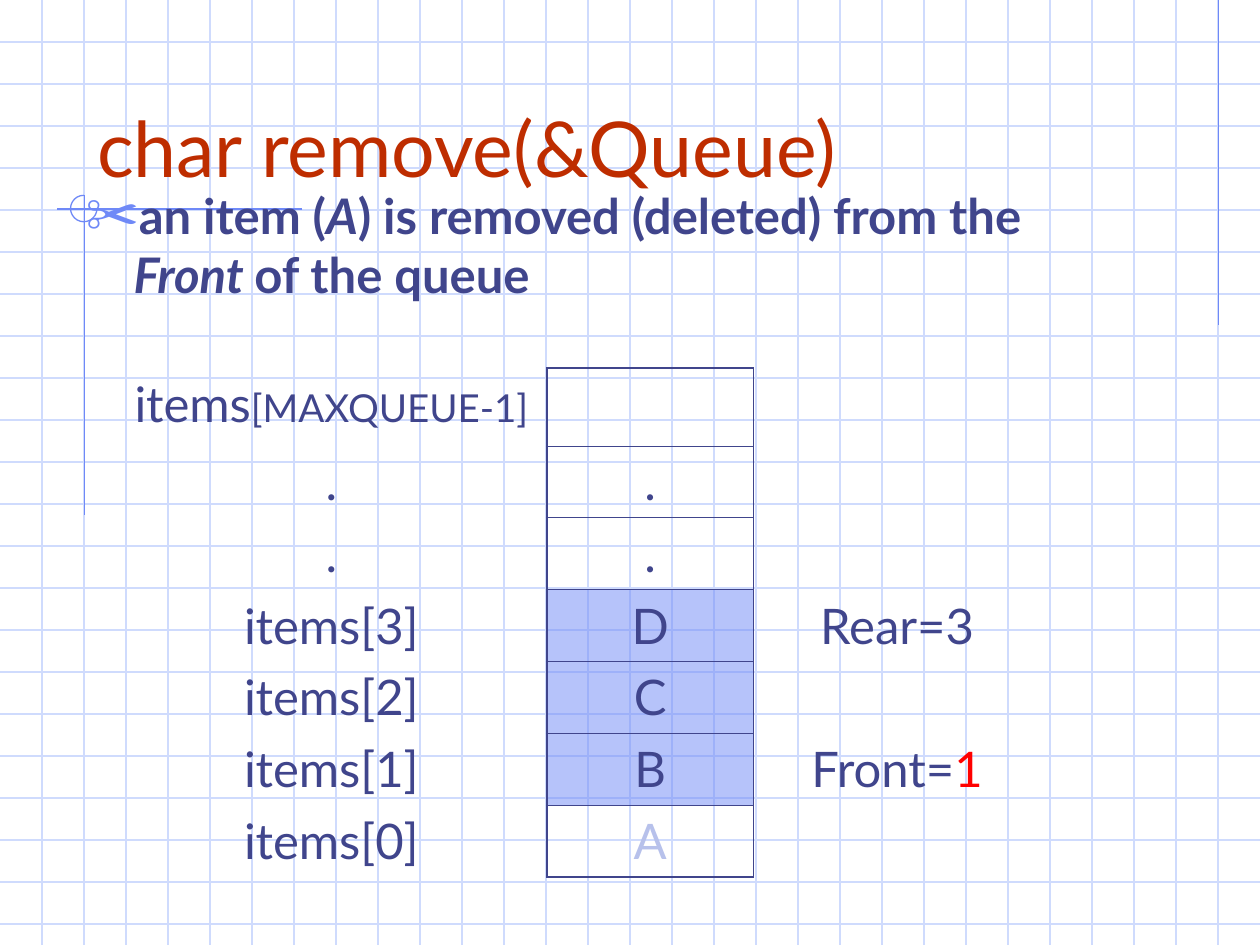
from dataclasses import dataclass

from lxml import etree
from pptx import Presentation
from pptx.dml.color import RGBColor
from pptx.enum.shapes import MSO_CONNECTOR, MSO_SHAPE
from pptx.enum.text import MSO_ANCHOR, MSO_AUTO_SIZE, PP_ALIGN
from pptx.oxml.ns import qn
from pptx.util import Inches, Pt

STRAIGHT = MSO_CONNECTOR.STRAIGHT
ARC = MSO_SHAPE.ARC
LEFT, CENTER = PP_ALIGN.LEFT, PP_ALIGN.CENTER
TOP, BOTTOM = MSO_ANCHOR.TOP, MSO_ANCHOR.BOTTOM
NO_FIT = MSO_AUTO_SIZE.NONE
NO_STYLE_TABLE = "{2D5ABB26-0587-4C30-8999-92F81FD0307C}"


@dataclass(frozen=True)
class Theme:
    font: str = "Lato"
    grid: str = "CFDBFD"
    accent: str = "6F89F7"
    title: str = "BE2D00"
    text: str = "40458C"
    removed: str = "B7C1EB"
    changed: str = "FF0000"
    title_size: float = 44
    text_size: float = 28
    small_size: float = 22
    rule: float = 0.75
    outer_border: float = 1.08
    inner_border: float = 0.45


T = Theme()


def rgb(color):
    return RGBColor.from_string(color)


def sub(parent, tag, **attrs):
    return etree.SubElement(parent, qn(tag), attrs)


def set_font(font, size, color):
    font.name, font.size = T.font, Pt(size)
    font.color.rgb = rgb(color)


def add_line(shapes, x1, y1, x2, y2, color):
    line = shapes.add_connector(STRAIGHT, Inches(x1), Inches(y1), Inches(x2), Inches(y2))
    line.line.color.rgb = rgb(color)
    line.line.width = Pt(T.rule)
    sub(line._element.spPr, "a:effectLst")


# Background: graph paper with three margin rules and a small arc
def add_grid(s, width, height, per_inch=3):
    shapes = s.shapes.add_group_shape().shapes
    for i in range(1, int(height * per_inch) + 1):
        add_line(shapes, 0, i / per_inch, width, i / per_inch, T.grid)
    for i in range(1, width * per_inch):
        add_line(shapes, i / per_inch, 0, i / per_inch, height, T.grid)


def add_margin_rules(s):
    shapes = s.shapes.add_group_shape().shapes
    for ends in ((9.67, 0, 9.67, 2.58), (2.4, 1.66, 0.45, 1.66), (0.67, 1.55, 0.67, 4.09)):
        add_line(shapes, *ends, T.accent)
    arc = shapes.add_shape(ARC, Inches(0.56), Inches(1.55), Inches(0.21), Inches(0.21))
    arc.adjustments[0] = 0
    arc.adjustments[1] = 270 * 0.6  # degrees in units of 100000/60000
    arc.shadow.inherit = False
    arc.fill.background()
    arc.line.color.rgb = rgb(T.accent)
    arc.line.width = Pt(T.rule)


# Title and bullet placeholders
def place(s, sp, left, top, width, height, anchor):
    sp.left, sp.top, sp.width, sp.height = map(Inches, (left, top, width, height))
    tf = sp.text_frame
    tf.word_wrap, tf.auto_size, tf.vertical_anchor = True, NO_FIT, anchor
    s.shapes._spTree.append(sp._element)  # in front of the grid
    p = tf.paragraphs[0]
    p.alignment = LEFT
    p.space_before = Pt(0)
    return p


def add_title(s, *box):
    p = place(s, s.shapes.title, *box, BOTTOM)
    p.text = "char remove(&Queue)"
    set_font(p.font, T.title_size, T.title)


def add_body(s, *box):
    p = place(s, s.placeholders[1], *box, TOP)
    pPr = p._p.get_or_add_pPr()
    indent = Inches(0.38)
    pPr.set("marL", str(indent))
    pPr.set("indent", str(-indent))
    sub(sub(pPr, "a:buClr"), "a:srgbClr", val=T.accent)
    sub(pPr, "a:buSzPct", val="110000")
    sub(pPr, "a:buChar", char="✂")
    set_font(p.font, T.text_size, T.text)
    p.font.bold = True
    for text, italic in (("an item (", False), ("A", True),
                         (") is removed (deleted) from the ", False),
                         ("Front ", True), ("of the queue", False)):
        r = p.add_run()
        r.text = text
        r.font.italic = italic


# Queue table: index, stored item, pointer
ROWS = (("items[MAXQUEUE-1]", "", ""),
        (".", ".", ""),
        (".", ".", ""),
        ("items[3]", "D", "Rear=3"),
        ("items[2]", "C", ""),
        ("items[1]", "B", "Front=1"),
        ("items[0]", "A", ""))
COLUMNS = (3.42, 1.64, 2.28)
FIRST_ROW, OTHER_ROW = 0.62, 0.57
ITEM_COLUMN = 1
FILLED = ("B", "C", "D")
# Cells whose last part is set apart: text -> (length, size, color)
SPECIAL = {"items[MAXQUEUE-1]": (12, T.small_size, T.text),
           "Front=1": (1, T.text_size, T.changed),
           "A": (1, T.text_size, T.removed)}


def cell_borders(row, col):
    if col != ITEM_COLUMN:
        return {"R" if col < ITEM_COLUMN else "L": T.outer_border}
    borders = {"L": T.outer_border, "R": T.outer_border}
    last = len(ROWS) - 1
    if row != 2:  # the two dotted rows form one open cell
        borders["T"] = T.inner_border if row else T.outer_border
    if row != 1:
        borders["B"] = T.inner_border if row < last else T.outer_border
    return borders


def fill_cell(cell, text, borders):
    tcPr = cell._tc.get_or_add_tcPr()
    for side, width in borders.items():
        ln = sub(tcPr, f"a:ln{side}", w=str(Pt(width)))
        sub(sub(ln, "a:solidFill"), "a:srgbClr", val=T.text)
    if text in FILLED:
        cell.fill.solid()
        cell.fill.fore_color.rgb = rgb(T.accent)
        sub(tcPr.find(".//" + qn("a:solidFill") + "[last()]") if not borders
            else tcPr.findall(qn("a:solidFill"))[0][0], "a:alpha", val="50000")
    else:
        cell.fill.background()
    p = cell.text_frame.paragraphs[0]
    p.alignment = CENTER
    set_font(p.font, T.text_size, T.text)
    length, size, color = SPECIAL.get(text, (0, T.text_size, T.text))
    split = len(text) - length
    for part, style in ((text[:split], (T.text_size, T.text)), (text[split:], (size, color))):
        if part:
            r = p.add_run()
            r.text = part
            set_font(r.font, *style)


def add_queue(s, left, top):
    height = FIRST_ROW + OTHER_ROW * (len(ROWS) - 1)
    table = s.shapes.add_table(len(ROWS), len(COLUMNS), Inches(left), Inches(top),
                               Inches(sum(COLUMNS)), Inches(height)).table
    table.first_row = table.horz_banding = False
    table._tbl.tblPr.find(qn("a:tableStyleId")).text = NO_STYLE_TABLE
    for column, width in zip(table.columns, COLUMNS):
        column.width = Inches(width)
    for i, texts in enumerate(ROWS):
        table.rows[i].height = Inches(OTHER_ROW if i else FIRST_ROW)
        for j, text in enumerate(texts):
            fill_cell(table.cell(i, j), text, cell_borders(i, j))


def main():
    prs = Presentation()
    prs.slide_width, prs.slide_height = Inches(10), Inches(7.5)
    s = prs.slides.add_slide(prs.slide_layouts[1])
    add_grid(s, 10, 7.5)
    add_margin_rules(s)
    add_title(s, 0.67, 0.33, 8.5, 1.25)
    add_body(s, 0.58, 1.42, 8.33, 2.08)
    add_queue(s, 0.92, 2.92)
    prs.save("out.pptx")


if __name__ == "__main__":
    main()
